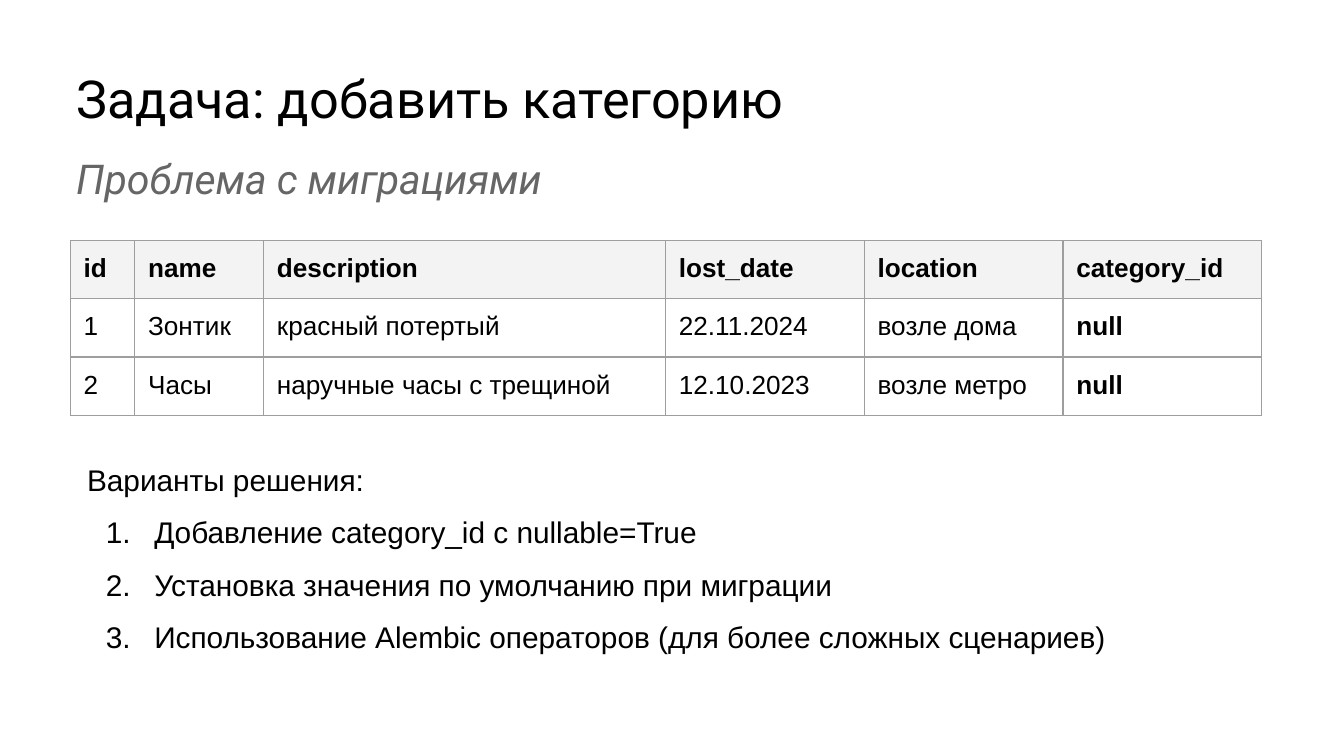
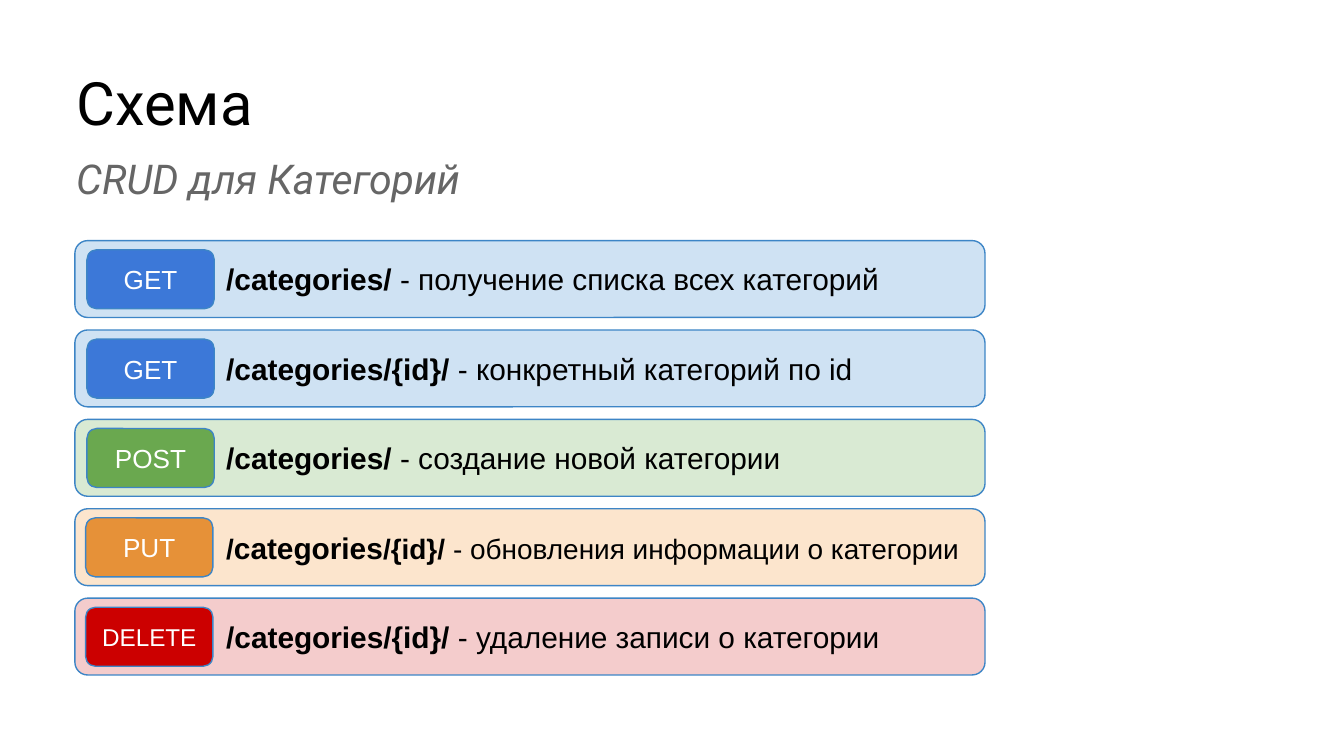
"""Build two slides on adding a category: the migration problem and the CRUD scheme."""
import pptx
import pptx.dml.color
import pptx.enum.shapes
import pptx.enum.text
import pptx.oxml
import pptx.oxml.ns
import pptx.util
from lxml import etree

Pt = pptx.util.Pt
ALIGN = pptx.enum.text.PP_ALIGN
ANCHOR = pptx.enum.text.MSO_ANCHOR

COLORS = {
    "text": "000000", "subtitle": "666666", "white": "FFFFFF",
    "header": "F3F3F3", "border": "9E9E9E", "outline": "3D85C6",
    "blue": "3C78D8", "blue_light": "CFE2F3",
    "green": "6AA84F", "green_light": "D9EAD3",
    "orange": "E69138", "orange_light": "FCE5CD",
    "red": "CC0000", "red_light": "F4CCCC",
}
INSET = 7.2

MIGRATION = {"title": "Задача: добавить категорию", "size": 28, "height": 48,
             "subtitle": "Проблема с миграциями"}
SCHEME = {"title": "Схема", "size": 32, "height": 53,
          "subtitle": "CRUD для Категорий"}

COLUMN_WIDTHS = [34.6, 69, 215.3, 106.5, 106.5, 106.5]
ROW_HEIGHT = 31
ITEMS = [
    ["id", "name", "description", "lost_date", "location", "category_id"],
    ["1", "Зонтик", "красный потертый", "22.11.2024", "возле дома", "null"],
    ["2", "Часы", "наручные часы с трещиной", "12.10.2023", "возле метро", "null"],
]
SOLUTIONS_HEADING = "Варианты решения:"
SOLUTIONS = [
    "Добавление category_id с nullable=True",
    "Установка значения по умолчанию при миграции",
    "Использование Alembic операторов (для более сложных сценариев)",
]

ENDPOINTS = [
    ("GET", 14, "blue", 46.6, [("/categories/", 16)],
     (" - получение списка всех категорий", 16)),
    ("GET", 14, "blue", 46.6, [("/categories/{id}/", 16)],
     (" - конкретный категорий по id", 16)),
    ("POST", 14, "green", 46.6, [("/categories/", 16)],
     (" - создание новой категории", 16)),
    ("PUT", 14, "orange", 45.9, [("/", 15), ("categories", 16), ("/{id}/", 15)],
     (" - обновления информации о категории", 15)),
    ("DELETE", 13, "red", 45.9, [("/categories/{id}/", 16)],
     (" - удаление записи о категории", 16)),
]
BAR = {"left": 40.1, "top": 128.9, "width": 487.6, "height": 41.2, "pitch": 47.88}
BADGE = {"drop": 4.9, "width": 68.2, "height": 31.6}


def color(name):
    """Return the named colour."""
    return pptx.dml.color.RGBColor.from_string(COLORS[name])


def write_text(paragraph, text, size=16, font="Arial", fill="text", bold=False,
               italic=False, align=ALIGN.LEFT):
    """Append one formatted run to a paragraph."""
    paragraph.alignment = align
    run = paragraph.add_run()
    run.text = text
    run.font.name = font
    run.font.size = Pt(size)
    run.font.bold = bold
    run.font.italic = italic
    run.font.color.rgb = color(fill)


def set_frame(frame, anchor=ANCHOR.TOP):
    """Wrap a text frame, set its insets and return its first paragraph."""
    frame.word_wrap = True
    frame.vertical_anchor = anchor
    frame.margin_left = frame.margin_right = Pt(INSET)
    frame.margin_top = frame.margin_bottom = Pt(INSET)
    return frame.paragraphs[0]


def add_text_box(slide, left, top, width, height):
    """Add a text box and return its text frame."""
    shape = slide.shapes.add_textbox(Pt(left), Pt(top), Pt(width), Pt(height))
    set_frame(shape.text_frame)
    return shape.text_frame


def set_indent(paragraph, margin, first):
    """Set the left margin and first-line indent."""
    properties = paragraph._p.get_or_add_pPr()
    properties.set("marL", str(Pt(margin)))
    properties.set("indent", str(Pt(first)))
    return properties


def add_slide(presentation, heading):
    """Add a blank slide with its title and subtitle."""
    slide = presentation.slides.add_slide(presentation.slide_layouts[6])
    title = add_text_box(slide, 33.8, 28.1, 559.4, heading["height"])
    write_text(title.paragraphs[0], heading["title"], size=heading["size"], font="Roboto")
    subtitle = add_text_box(slide, 33.8, 74.9, 559.4, 41)
    write_text(subtitle.paragraphs[0], heading["subtitle"], size=22, font="Roboto",
               fill="subtitle", italic=True)
    return slide


def set_borders(cell):
    """Draw a thin line on each side of a cell."""
    properties = cell._tc.get_or_add_tcPr()
    for side in ("a:lnL", "a:lnR", "a:lnT", "a:lnB"):
        line = etree.SubElement(properties, pptx.oxml.ns.qn(side), w=str(Pt(0.75)))
        solid = etree.SubElement(line, pptx.oxml.ns.qn("a:solidFill"))
        etree.SubElement(solid, pptx.oxml.ns.qn("a:srgbClr"), val=COLORS["border"])


def add_items_table(slide):
    """Add the table of lost items."""
    shape = slide.shapes.add_table(
        len(ITEMS), len(COLUMN_WIDTHS), Pt(37.6), Pt(128.8),
        Pt(sum(COLUMN_WIDTHS)), Pt(ROW_HEIGHT * len(ITEMS)))
    table = shape.table
    table.first_row = table.horz_banding = False
    for column, width in zip(table.columns, COLUMN_WIDTHS):
        column.width = Pt(width)
    for row_index, values in enumerate(ITEMS):
        table.rows[row_index].height = Pt(ROW_HEIGHT)
        for column_index, value in enumerate(values):
            cell = table.cell(row_index, column_index)
            cell.margin_left = cell.margin_right = Pt(INSET)
            cell.margin_top = cell.margin_bottom = Pt(INSET)
            set_borders(cell)
            if row_index == 0:
                cell.fill.solid()
                cell.fill.fore_color.rgb = color("header")
            else:
                cell.fill.background()
            write_text(cell.text_frame.paragraphs[0], value, size=14,
                       bold=row_index == 0 or value == "null")


def add_solutions(slide):
    """Add the numbered list of solutions."""
    frame = add_text_box(slide, 39.6, 239, 566.6, 121.7)
    write_text(frame.paragraphs[0], SOLUTIONS_HEADING)
    for solution in SOLUTIONS:
        paragraph = frame.add_paragraph()
        properties = set_indent(paragraph, 36, -26)
        etree.SubElement(properties, pptx.oxml.ns.qn("a:buAutoNum"), type="arabicPeriod")
        paragraph.space_before = Pt(8)
        write_text(paragraph, solution)
    for paragraph in frame.paragraphs:
        paragraph.line_spacing = 1.05


def add_rounded(group, left, top, width, height, fill):
    """Add an outlined rounded rectangle and return its first paragraph."""
    shape = group.shapes.add_shape(
        pptx.enum.shapes.MSO_SHAPE.ROUNDED_RECTANGLE,
        Pt(left), Pt(top), Pt(width), Pt(height))
    shape.shadow.inherit = False
    shape.fill.solid()
    shape.fill.fore_color.rgb = color(fill)
    shape.line.color.rgb = color("outline")
    shape.line.width = Pt(0.75)
    return set_frame(shape.text_frame, ANCHOR.MIDDLE)


def add_endpoints(slide):
    """Add one bar with a method badge per endpoint."""
    for index, (method, size, tone, badge_left, route, summary) in enumerate(ENDPOINTS):
        group = slide.shapes.add_group_shape()
        top = BAR["top"] + index * BAR["pitch"]
        bar = add_rounded(group, BAR["left"], top, BAR["width"], BAR["height"],
                          tone + "_light")
        set_indent(bar, 36, 36)
        for text, text_size in route:
            write_text(bar, text, size=text_size, bold=True)
        write_text(bar, summary[0], size=summary[1])
        badge = add_rounded(group, badge_left, top + BADGE["drop"],
                            BADGE["width"], BADGE["height"], tone)
        write_text(badge, method, size=size, fill="white", align=ALIGN.CENTER)


def main():
    """Build and save the presentation."""
    presentation = pptx.Presentation()
    presentation.slide_width = Pt(720)
    presentation.slide_height = Pt(405)
    migration = add_slide(presentation, MIGRATION)
    add_items_table(migration)
    add_solutions(migration)
    add_endpoints(add_slide(presentation, SCHEME))
    presentation.save("out.pptx")


if __name__ == "__main__":
    main()
